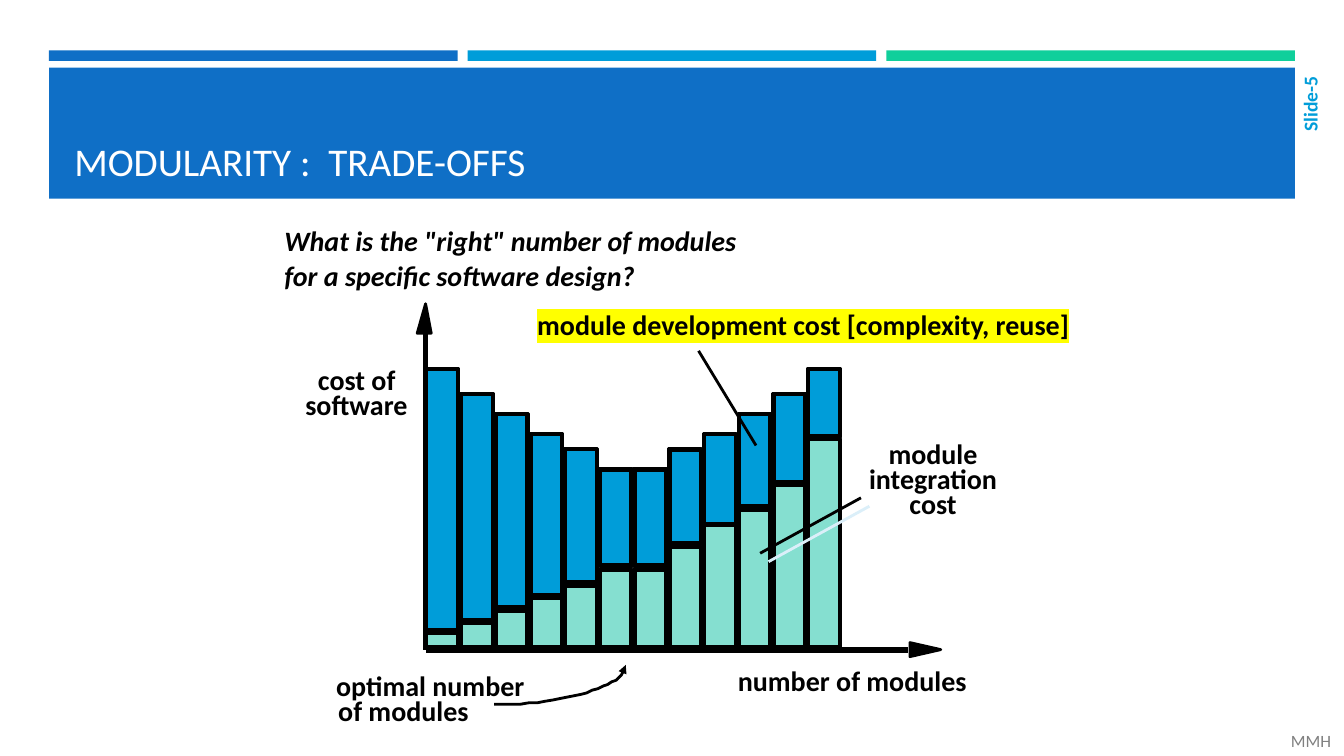
from pptx import Presentation, util as u
from pptx.dml import color
from pptx.enum import shapes as es, text as et
from pptx.oxml import ns, xmlchemy as xc

Pt = u.Pt
BLUE, SKY, MINT, TEAL = "0F6FC6", "009DD9", "10CF9B", "85DFD0"
BLACK, WHITE, GREY = "000000", "FFFFFF", "808080"
BARS = [
    (262.8, 450.7, 451.4), (280.8, 443.5, 444.2), (295.2, 434.2, 435.6),
    (309.6, 425.5, 426.2), (320.4, 416.2, 417.6), (334.8, 404.6, 406.8),
    (334.8, 404.6, 406.8), (320.4, 388.8, 390.2), (309.6, 375.1, 374.4),
    (295.2, 362.2, 363.6), (280.8, 344.9, 345.6), (262.8, 312.5, 313.2),
]


def rgb(code):
    return color.RGBColor.from_string(code)


def child(parent, tag, **attrs):
    node = xc.OxmlElement(tag)
    for key, val in attrs.items():
        node.set(key, str(val))
    parent.append(node)
    return node


def paint(shape, fill=None, line=None, width=2):
    shape.shadow.inherit = False
    if fill:
        shape.fill.solid()
        shape.fill.fore_color.rgb = rgb(fill)
    else:
        shape.fill.background()
    if line:
        shape.line.color.rgb = rgb(line)
        shape.line.width = Pt(width)
    else:
        shape.line.fill.background()
    return shape


def rect(slide, box, **style):
    shape = slide.shapes.add_shape(es.MSO_SHAPE.RECTANGLE, *map(Pt, box))
    return paint(shape, **style)


def write(slide, words, box, size=20, ink=BLACK, bold=True, slant=False,
          align="LEFT", anchor="TOP", space=None, mark=None, turn=None):
    frame = slide.shapes.add_textbox(*map(Pt, box)).text_frame
    frame.word_wrap = True
    frame.vertical_anchor = et.MSO_ANCHOR[anchor]
    if turn:
        frame._txBody.bodyPr.set("vert", turn)
    for i, line in enumerate(words.split("\n")):
        para = frame.paragraphs[0] if i == 0 else frame.add_paragraph()
        para.alignment = et.PP_ALIGN[align]
        if space:
            para.line_spacing = space
        run = para.add_run()
        run.text = line
        font = run.font
        font.name, font.size = "Calibri", Pt(size)
        font.bold, font.italic = bold, slant
        font.color.rgb = rgb(ink)
        if mark:
            glow = xc.OxmlElement("a:highlight")
            child(glow, "a:srgbClr", val=mark)
            run._r.rPr.find(ns.qn("a:solidFill")).addnext(glow)


def rule(slide, start, end, width=2, shade=None):
    line = slide.shapes.add_connector(
        es.MSO_CONNECTOR.STRAIGHT, *map(Pt, start + end))
    line.line.color.rgb = rgb(BLACK)
    line.line.width = Pt(width)
    glow = child(line._element.spPr, "a:effectLst")
    if shade:
        drop = child(glow, "a:outerShdw", blurRad=0, dist=Pt(8.5),
                     dir=2700000, algn="ctr", rotWithShape=0)
        child(drop, "a:srgbClr", val=shade)


def trace(slide, pts, close=False, **style):
    path = slide.shapes.build_freeform(*pts[0], scale=Pt(1))
    path.add_line_segments(pts[1:], close=close)
    return paint(path.convert_to_shape(), **style)


def header(slide, box):
    x, y, w, h = box
    gap = 7.2
    part = (w - 2 * gap) / 3
    for i, fill in enumerate((BLUE, SKY, MINT)):
        rect(slide, (x + i * (part + gap), y, part, 7.5), fill=fill)
    rect(slide, (x, y + 12.4, w, h - 12.4), fill=BLUE)
    write(slide, "MODULARITY :  TRADE-OFFS", (x + 11, y + 19.4, w - 22, 80),
          size=28, ink=WHITE, bold=False, anchor="BOTTOM")
    write(slide, "Slide-5", (x + w + 1.6, y + 11.5, 18, 65.5), size=14,
          ink=SKY, align="RIGHT", anchor="MIDDLE", turn="vert270")


def bar(slide, x, top, base, fill, width=23.8, edge=1.1):
    rect(slide, (x + edge, top + edge, width - 2 * edge,
                 base - top - 2 * edge), fill=fill, line=BLACK)
    rect(slide, (x, top, width, base - top), line=BLACK)


def axes(slide, x, y, right, top):
    rule(slide, (x, y), (right, y), 4)
    rule(slide, (x, y), (x, top), 4)
    trace(slide, [(right + 23, y), (right + 1, y + 5), (right + 1, y - 5)],
          True, fill=BLACK, line=BLACK)
    trace(slide, [(x - 0.5, top - 21), (x + 4.5, top + 0.5),
                  (x - 5.5, top + 0.5)], True, fill=BLACK, line=BLACK)


def curve(slide, ctrl, steps=24):
    pts = []
    for i in range(steps + 1):
        t = i / steps
        mix = ((1 - t) ** 3, 3 * t * (1 - t) ** 2, 3 * t * t * (1 - t), t ** 3)
        pts.append(tuple(sum(m * p[k] for m, p in zip(mix, ctrl))
                         for k in (0, 1)))
    shape = trace(slide, pts, line=BLACK)
    child(shape.line._get_or_add_ln(), "a:headEnd", type="triangle")


def graph(slide, box):
    x, y, w, h = box
    base = y + h
    for i, (top, split, low) in enumerate(BARS):
        left = x + 24.8 * i
        bar(slide, left, low, base - 1, TEAL)
        bar(slide, left, top, split, SKY)
    axes(slide, x, base, x + w, y)
    for words, dx, dy, width in (
            ("cost of", -84, 18, 90), ("software", -93, 36, 100),
            ("optimal number", -71, 236.5, 167),
            ("of modules", -69.5, 254.5, 135),
            ("number of modules", 216, 232.5, 198)):
        write(slide, words, (x + dx, y + dy, width, 31))
    write(slide, "module\nintegration\ncost", (x + 303, y + 76, 119, 62),
          align="CENTER", space=0.75)
    write(slide, "module development cost [complexity, reuse]",
          (x + 72.6, y - 21.6, 490, 31), mark="FFFF00")
    rule(slide, (x + 195, y + 13), (x + 236, y + 80.6))
    rule(slide, (x + 311, y + 118), (x + 239, y + 157.6), shade="DBEFF9")
    curve(slide, [(x + 143, y + 237), (x + 143, y + 252.5),
                  (x + 100.6, y + 265.5), (x + 49, y + 265.5)])


def main():
    deck = Presentation()
    deck.slide_width, deck.slide_height = Pt(960), Pt(540)
    slide = deck.slides.add_slide(deck.slide_layouts[6])
    header(slide, (35, 36, 890, 106))
    for i, words in enumerate(('What is the "right" number of modules',
                               "for a specific software design?")):
        write(slide, words, (196, 156.2 + 25.2 * i, 380, 31), slant=True)
    graph(slide, (304, 237.6, 344.8, 226.6))
    write(slide, "MMH", (915, 518.4, 48, 21.6), size=12.3, ink=GREY,
          bold=False, anchor="MIDDLE")
    deck.save("out.pptx")


if __name__ == "__main__":
    main()
